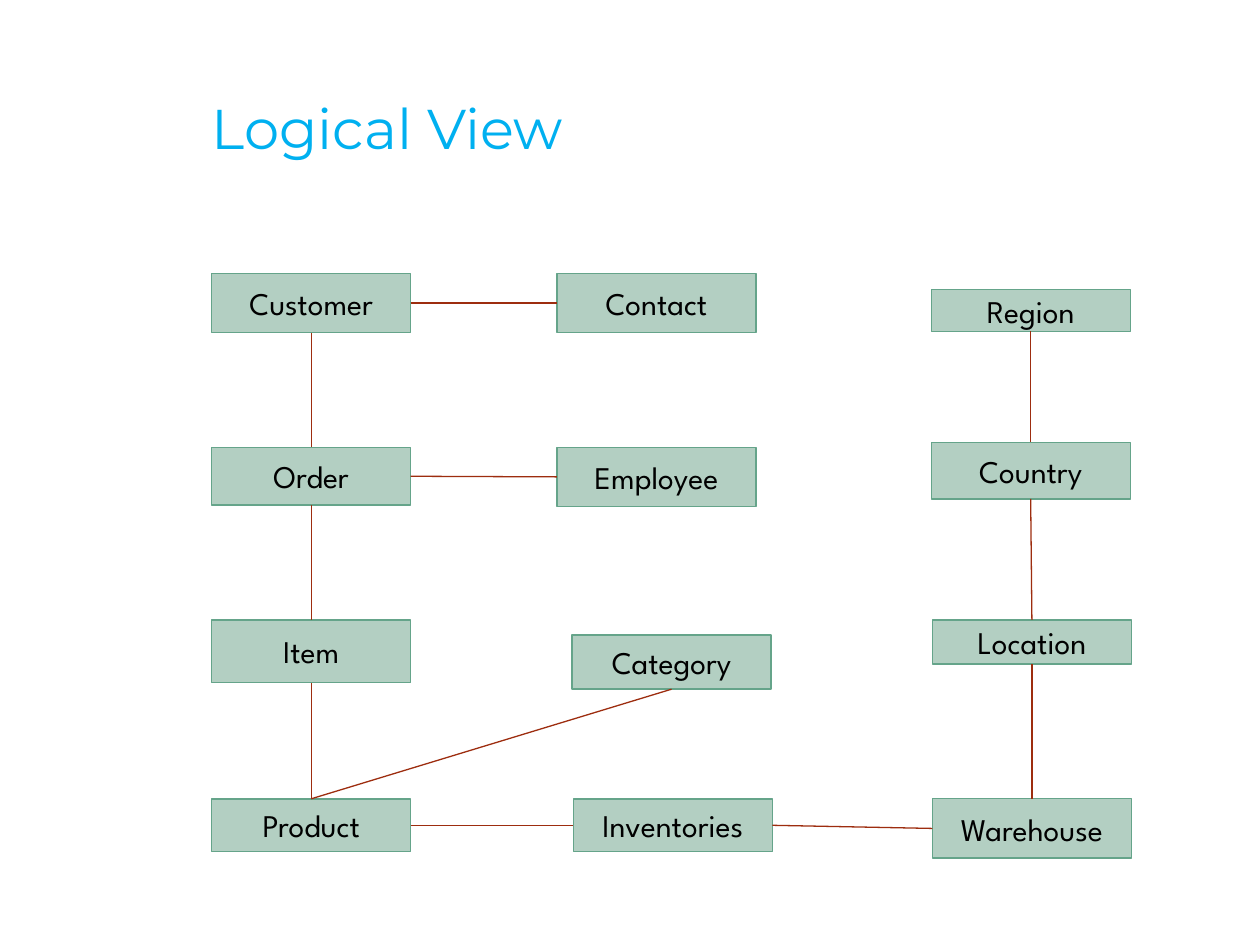
from pptx import Presentation
from pptx.dml.color import RGBColor
from pptx.enum.shapes import MSO_CONNECTOR, MSO_SHAPE
from pptx.enum.text import MSO_ANCHOR, PP_ALIGN
from pptx.oxml.ns import qn
from pptx.util import Inches, Pt
from lxml.etree import SubElement

BLUE = RGBColor(0x00, 0xB0, 0xF0)
SAGE = RGBColor(0xB3, 0xCF, 0xC2)
GREEN = RGBColor(0x65, 0xA4, 0x8A)
RUST = RGBColor(0x9D, 0x2D, 0x0F)
BLACK = RGBColor(0x00, 0x00, 0x00)

TOP, LEFT, BOTTOM, RIGHT = range(4)
WIDTH = 1.58

NODES = [
    ("Customer", 1.68, 2.17, 0.47),
    ("Order", 1.68, 3.55, 0.46),
    ("Item", 1.68, 4.92, 0.5),
    ("Product", 1.68, 6.34, 0.42),
    ("Contact", 4.42, 2.17, 0.47),
    ("Employee", 4.42, 3.55, 0.47),
    ("Category", 4.54, 5.04, 0.43),
    ("Inventories", 4.55, 6.34, 0.42),
    ("Region", 7.39, 2.3, 0.33),
    ("Country", 7.39, 3.51, 0.45),
    ("Location", 7.4, 4.92, 0.35),
    ("Warehouse", 7.4, 6.34, 0.47),
]

LINKS = [
    ("Customer", BOTTOM, "Order", TOP),
    ("Order", BOTTOM, "Item", TOP),
    ("Item", BOTTOM, "Product", TOP),
    ("Customer", RIGHT, "Contact", LEFT),
    ("Order", RIGHT, "Employee", LEFT),
    ("Product", TOP, "Category", BOTTOM),
    ("Product", RIGHT, "Inventories", LEFT),
    ("Inventories", RIGHT, "Warehouse", LEFT),
    ("Region", BOTTOM, "Country", TOP),
    ("Country", BOTTOM, "Location", TOP),
    ("Warehouse", TOP, "Location", BOTTOM),
]


def write(frame, text, face, size, color, align):
    """Put one styled line of text in a frame."""
    frame.text = text
    frame.word_wrap = True
    frame.vertical_anchor = MSO_ANCHOR.MIDDLE
    line = frame.paragraphs[0]
    line.alignment = align
    font = line.runs[0].font
    font.name, font.size, font.color.rgb = face, Pt(size), color


def add_title(slide, text):
    """Place and fill the slide title."""
    title = slide.shapes.title
    title.left, title.top = Inches(1.58), Inches(0.68)
    title.width, title.height = Inches(6.6), Inches(0.65)
    write(title.text_frame, text, "Montserrat", 32, BLUE, PP_ALIGN.LEFT)


def add_node(slide, name, left, top, height):
    """Draw one entity box and return it."""
    box = slide.shapes.add_shape(
        MSO_SHAPE.RECTANGLE, Inches(left), Inches(top), Inches(WIDTH), Inches(height)
    )
    box.shadow.inherit = False
    box.fill.solid()
    box.fill.fore_color.rgb = SAGE
    box.line.color.rgb = GREEN
    box.line.width = Pt(0.75)
    write(box.text_frame, name, "League Spartan", 18, BLACK, PP_ALIGN.CENTER)
    return box


def add_link(slide, start, exit, end, entry):
    """Join two boxes at the given sides."""
    link = slide.shapes.add_connector(MSO_CONNECTOR.STRAIGHT, 0, 0, 0, 0)
    link.begin_connect(start, exit)
    link.end_connect(end, entry)
    link.line.color.rgb = RUST
    link.line.width = Pt(0.75)
    SubElement(link._element.spPr, qn("a:effectLst"))


def main():
    """Build the logical view slide."""
    deck = Presentation()
    deck.slide_width, deck.slide_height = Inches(10), Inches(7.5)
    slide = deck.slides.add_slide(deck.slide_layouts[5])
    add_title(slide, "Logical View")
    boxes = {node[0]: add_node(slide, *node) for node in NODES}
    for start, exit, end, entry in LINKS:
        add_link(slide, boxes[start], exit, boxes[end], entry)
    deck.save("out.pptx")


if __name__ == "__main__":
    main()
